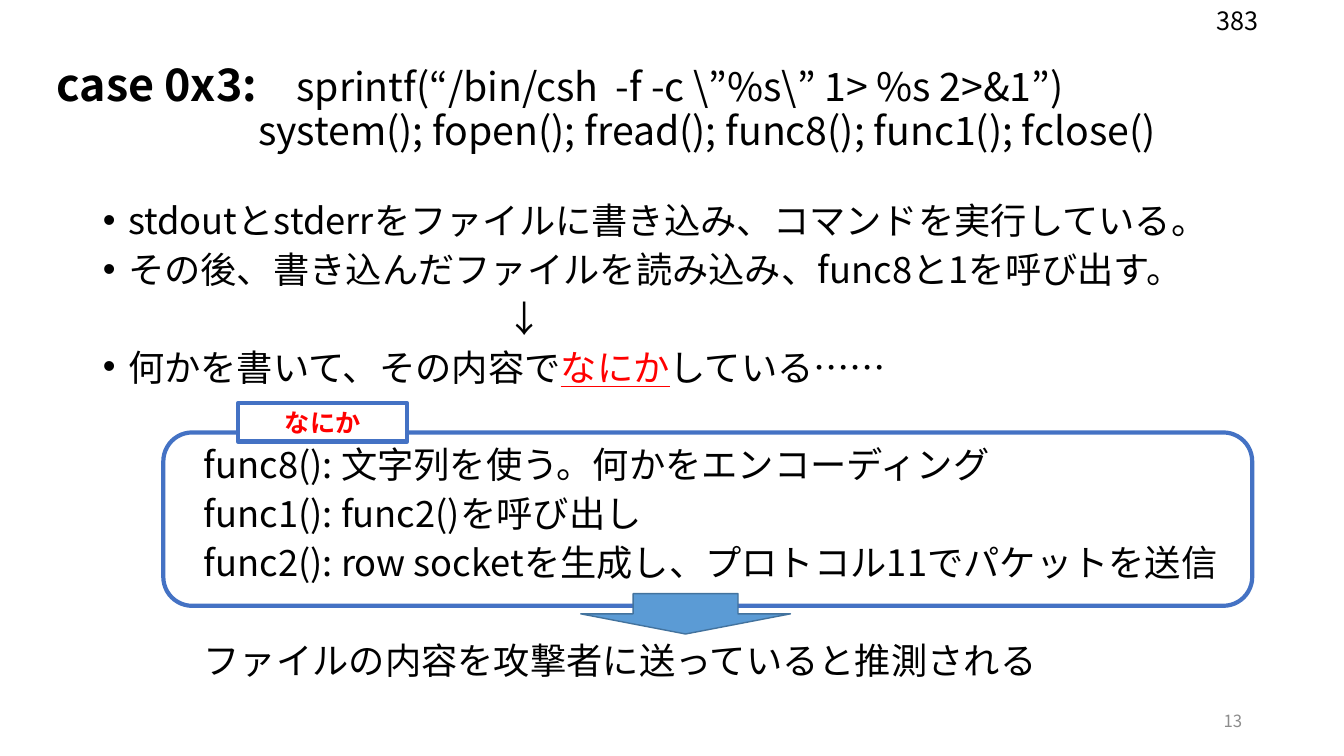
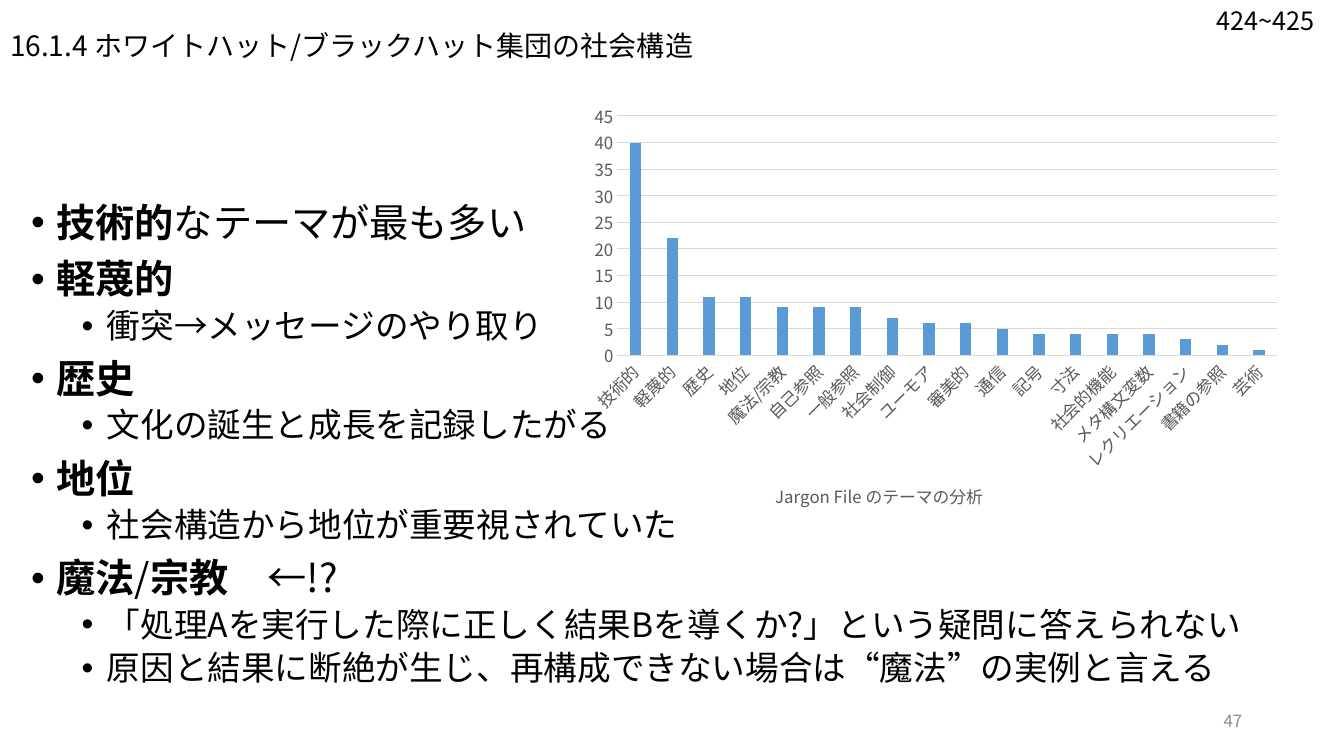
from lxml.etree import SubElement
from pptx import Presentation
from pptx.chart.data import CategoryChartData
from pptx.dml.color import RGBColor
from pptx.enum.chart import XL_CHART_TYPE, XL_TICK_MARK
from pptx.enum.shapes import MSO_SHAPE
from pptx.enum.text import MSO_ANCHOR, MSO_AUTO_SIZE, PP_ALIGN
from pptx.oxml import parse_xml
from pptx.oxml.ns import nsdecls, qn
from pptx.util import Inches, Pt

FONT = "Noto Sans CJK JP"
BLACK = RGBColor(0x00, 0x00, 0x00)
WHITE = RGBColor(0xFF, 0xFF, 0xFF)
RED = RGBColor(0xFF, 0x00, 0x00)
GRAY = RGBColor(0x8C, 0x8C, 0x8C)
AXIS_TEXT = RGBColor(0x59, 0x59, 0x59)
GRID = RGBColor(0xD9, 0xD9, 0xD9)
OUTLINE = RGBColor(0x44, 0x72, 0xC4)
BLUE = RGBColor(0x5B, 0x9B, 0xD5)
ARROW_EDGE = RGBColor(0x43, 0x73, 0x9E)


def write(paragraph, text, size=18, color=BLACK, bold=False, underline=False,
          east_asian=True):
    run = paragraph.add_run()
    run.text = text
    font = run.font
    font.name, font.size = FONT, Pt(size)
    font.bold, font.underline = bold, underline
    font.color.rgb = color
    if east_asian:
        SubElement(run._r.get_or_add_rPr(), qn("a:ea"), typeface=FONT)


def format_paragraph(paragraph, margin=0, bullet=False, spacing=1, before=0):
    paragraph.alignment = PP_ALIGN.LEFT
    paragraph.line_spacing = spacing
    paragraph.space_before = Pt(before)
    properties = paragraph._p.get_or_add_pPr()
    properties.set("marL", str(Inches(margin)))
    properties.set("indent", str(Inches(-0.25 if bullet else 0)))
    if bullet:
        SubElement(properties, qn("a:buFont"), typeface="Arial")
        SubElement(properties, qn("a:buChar"), char="•")
    else:
        SubElement(properties, qn("a:buNone"))


def manual_layout(x, y, w=None, h=None):
    parts = [("xMode", "edge"), ("yMode", "edge"), ("x", x), ("y", y)]
    if w is not None:
        parts = [("layoutTarget", "inner")] + parts + [("w", w), ("h", h)]
    inner = "".join(f'<c:{tag} val="{value}"/>' for tag, value in parts)
    return parse_xml(f"<c:layout {nsdecls('c')}><c:manualLayout>{inner}"
                     "</c:manualLayout></c:layout>")


class Deck:
    def __init__(self):
        self.presentation = Presentation()
        self.presentation.slide_width = Inches(13.33)
        self.presentation.slide_height = Inches(7.5)
        self.slide = None

    def start_slide(self):
        layout = self.presentation.slide_layouts[1]
        self.slide = self.presentation.slides.add_slide(layout)

    def place(self, holder, box, anchor):
        holder.left, holder.top, holder.width, holder.height = map(Inches, box)
        frame = holder.text_frame
        frame.word_wrap = True
        frame.auto_size = MSO_AUTO_SIZE.NONE
        frame.vertical_anchor = anchor
        return frame

    def lines(self, frame, lines):
        for index, (runs, layout) in enumerate(lines):
            paragraph = frame.add_paragraph() if index else frame.paragraphs[0]
            format_paragraph(paragraph, **layout)
            for text, style in runs:
                write(paragraph, text, **style)

    def title(self, box, lines):
        frame = self.place(self.slide.shapes.title, box, MSO_ANCHOR.MIDDLE)
        self.lines(frame, [(runs, dict(margin=margin, spacing=0.9))
                           for runs, margin in lines])

    def body(self, box, lines):
        frame = self.place(self.slide.placeholders[1], box, MSO_ANCHOR.TOP)
        self.lines(frame, lines)

    def label(self, box, text, align=PP_ALIGN.LEFT, anchor=MSO_ANCHOR.TOP, **style):
        holder = self.slide.shapes.add_textbox(*map(Inches, box))
        paragraph = self.place(holder, box, anchor).paragraphs[0]
        paragraph.alignment = align
        write(paragraph, text, **style)

    def page_marks(self, book_pages, slide_number):
        self.label((9.42, 6.95, 3, 0.4), slide_number, PP_ALIGN.RIGHT,
                   MSO_ANCHOR.MIDDLE, size=12, color=GRAY)
        self.label((11.97, 0, 1.36, 0.4), book_pages)

    def shape(self, kind, box, line, weight, fill=None, text=None, **style):
        shape = self.slide.shapes.add_shape(kind, *map(Inches, box))
        shape.shadow.inherit = False
        if fill is None:
            shape.fill.background()
        else:
            shape.fill.solid()
            shape.fill.fore_color.rgb = fill
        shape.line.color.rgb = line
        shape.line.width = Pt(weight)
        if text:
            frame = shape.text_frame
            frame.vertical_anchor = MSO_ANCHOR.MIDDLE
            frame.paragraphs[0].alignment = PP_ALIGN.CENTER
            write(frame.paragraphs[0], text, **style)

    def column_chart(self, box, caption, counts, maximum, step):
        data = CategoryChartData()
        data.categories = list(counts)
        data.add_series("Series 1", list(counts.values()))
        chart = self.slide.shapes.add_chart(
            XL_CHART_TYPE.COLUMN_CLUSTERED, *map(Inches, box), data).chart
        chart.has_legend = False
        chart.font.name, chart.font.size = FONT, Pt(10)
        chart.font.color.rgb = BLACK

        chart.has_title = True
        heading = chart.chart_title
        write(heading.text_frame.paragraphs[0], caption, size=12, color=AXIS_TEXT)
        heading.include_in_layout = False
        title_element = heading._element
        for layout in title_element.findall(qn("c:layout")):
            title_element.remove(layout)
        title_element.find(qn("c:tx")).addnext(manual_layout(0.27, 0.87))

        plot = chart.plots[0]
        plot.gap_width, plot.overlap = 219, -27
        plot.vary_by_categories = False
        columns = plot.series[0].format.fill
        columns.solid()
        columns.fore_color.rgb = BLUE
        plot_area = chart._chartSpace.chart.plotArea
        for layout in plot_area.findall(qn("c:layout")):
            plot_area.remove(layout)
        plot_area.insert(0, manual_layout(0.055, 0.095, 0.917, 0.512))

        themes, values = chart.category_axis, chart.value_axis
        for axis in (themes, values):
            axis.major_tick_mark = axis.minor_tick_mark = XL_TICK_MARK.NONE
            font = axis.tick_labels.font
            font.name, font.size = FONT, Pt(12)
            font.color.rgb = AXIS_TEXT
        themes._element.find(qn("c:txPr")).find(qn("a:bodyPr")).set("rot", "-2700000")
        values.minimum_scale, values.maximum_scale = 0, maximum
        values.major_unit = step
        values.format.line.fill.background()
        for line in (themes.format.line, values.major_gridlines.format.line):
            line.color.rgb = GRID
            line.width = Pt(0.75)
        for latin in list(chart._chartSpace.iter(qn("a:latin"))):
            if latin.getparent().find(qn("a:ea")) is None:
                latin.addnext(parse_xml(f'<a:ea {nsdecls("a")} typeface="{FONT}"/>'))


def build_case_slide(deck):
    deck.start_slide()
    code = dict(size=28)
    deck.title((0.46, 0.35, 12.42, 1.45), [
        ([("case 0x3:", dict(size=32, bold=True)),
          ("　sprintf(“/bin/csh  -f -c \\”%s\\” 1> %s 2>&1”)", code)], 0),
        ([("system(); fopen(); fread(); func8(); func1(); fclose()", code)], 2),
    ])

    plain = dict(size=25.9)
    stressed = dict(plain, color=RED, underline=True)

    def line(*runs, margin=0.25, bullet=False, before=10):
        return list(runs), dict(margin=margin, bullet=bullet, spacing=0.8, before=before)

    deck.body((0.92, 2, 11.72, 5.22), [
        line(("stdoutとstderrをファイルに書き込み、コマンドを実行している。", plain), bullet=True),
        line(("その後、書き込んだファイルを読み込み、func8と1を呼び出す。", plain), bullet=True),
        line(("↓", plain), margin=4),
        line(("何かを書いて、その内容で", plain), ("なにか", stressed),
             ("している……", plain), bullet=True),
        line(("func8(): 文字列を使う。何かをエンコーディング", plain), margin=1, before=45),
        line(("func1(): func2()を呼び出し", plain), margin=1),
        line(("func2(): row socketを生成し、プロトコル11でパケットを送信", plain), margin=1),
        line(("ファイルの内容を攻撃者に送っていると推測される", plain), margin=1, before=45),
    ])
    deck.shape(MSO_SHAPE.ROUNDED_RECTANGLE, (1.62, 4.29, 10.8, 1.72), OUTLINE, 3)
    deck.shape(MSO_SHAPE.RECTANGLE, (2.36, 4, 1.68, 0.38), OUTLINE, 3, WHITE,
               "なにか", color=RED, bold=True)
    deck.shape(MSO_SHAPE.DOWN_ARROW, (5.76, 5.89, 2.08, 0.4), ARROW_EDGE, 1, BLUE)
    deck.page_marks("383", "13")


def build_society_slide(deck):
    deck.start_slide()
    deck.title((0, 0, 7.77, 0.94), [
        ([("16.1.4 ホワイトハット/ブラックハット集団の社会構造", dict(size=20))], 0),
    ])

    strong, plain = dict(size=28, bold=True), dict(size=28)
    small = dict(size=24)
    quote = dict(small, east_asian=False)
    topic = dict(margin=0.25, bullet=True, spacing=0.9, before=10)
    detail = dict(topic, margin=0.75, before=5)
    deck.body((0.21, 1.97, 12.46, 6.89), [
        ([("技術的", strong), ("なテーマが最も多い", plain)], topic),
        ([("軽蔑的", strong)], topic),
        ([("衝突→メッセージのやり取り", small)], detail),
        ([("歴史", strong)], topic),
        ([("文化の誕生と成長を記録したがる", small)], detail),
        ([("地位", strong)], topic),
        ([("社会構造から地位が重要視されていた", small)], detail),
        ([("魔法", strong), ("/", plain), ("宗教", strong), ("　←!?", plain)], topic),
        ([("「処理Aを実行した際に正しく結果Bを導くか?」という疑問に答えられない", small)],
         detail),
        ([("原因と結果に断絶が生じ、再構成できない場合は", small), ("“", quote),
          ("魔法", small), ("”", quote), ("の実例と言える", small)], detail),
    ])

    deck.column_chart((5.73, 0.71, 7.14, 4.64), "Jargon File のテーマの分析", {
        "技術的": 40, "軽蔑的": 22, "歴史": 11, "地位": 11, "魔法/宗教": 9,
        "自己参照": 9, "一般参照": 9, "社会制御": 7, "ユーモア": 6, "審美的": 6,
        "通信": 5, "記号": 4, "寸法": 4, "社会的機能": 4, "メタ構文変数": 4,
        "レクリエーション": 3, "書籍の参照": 2, "芸術": 1,
    }, maximum=45, step=5)
    deck.page_marks("424~425", "47")


def main():
    deck = Deck()
    build_case_slide(deck)
    build_society_slide(deck)
    deck.presentation.save("out.pptx")


if __name__ == "__main__":
    main()
